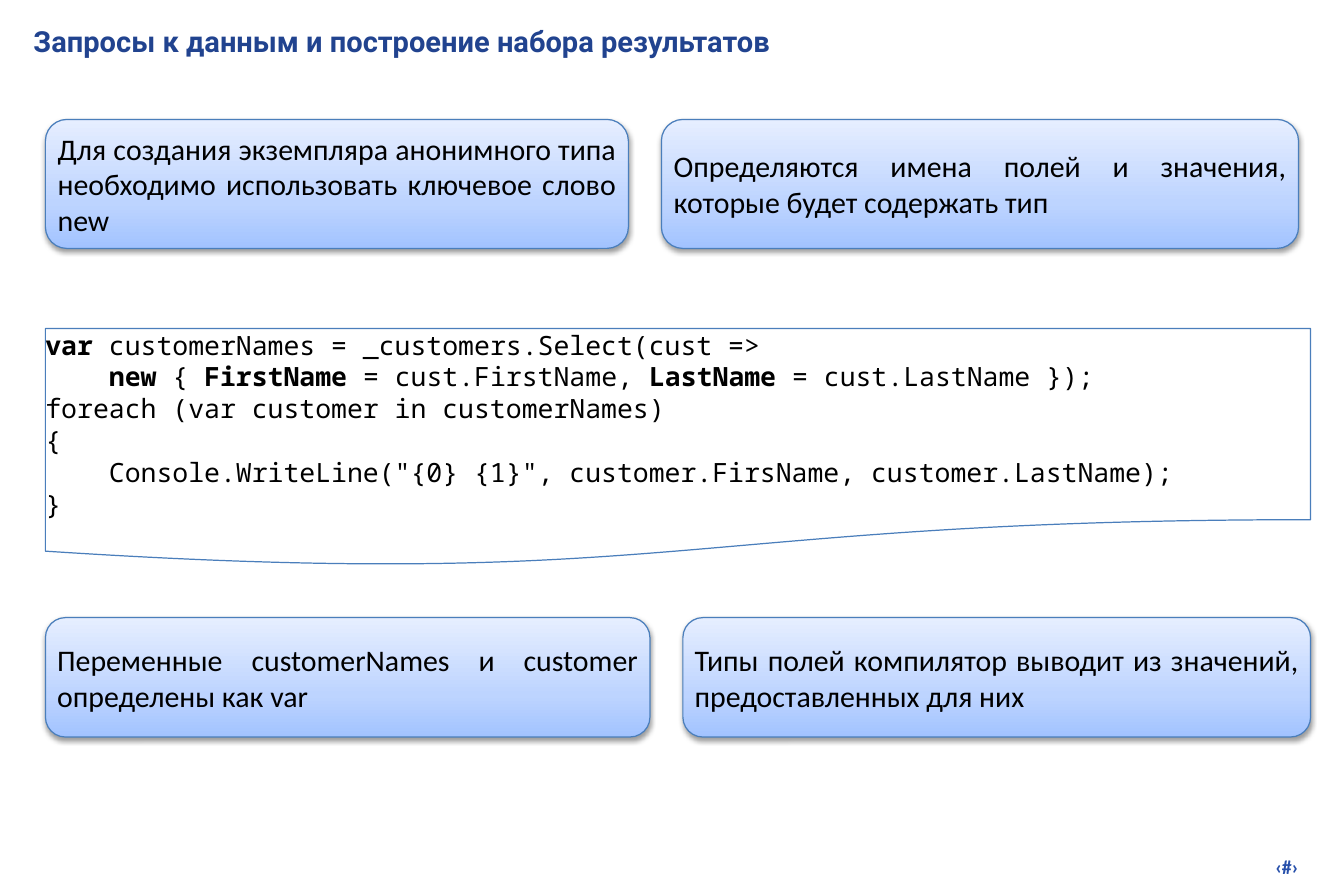
from copy import deepcopy
from lxml.etree import SubElement
from pptx import Presentation
from pptx.dml.color import RGBColor
from pptx.enum.shapes import MSO_SHAPE as Shape
from pptx.enum.text import MSO_ANCHOR as Anchor, PP_ALIGN as Align
from pptx.oxml.ns import qn
from pptx.util import Inches, Pt

TITLE = "Запросы к данным и построение набора результатов"
PAGE_MARK = "‹#›"
CODE = [
    [("var", True), (" customerNames = _customers.Select(cust =>", False)],
    [("    ", False), ("new", True), (" { ", False), ("FirstName", True),
     (" = cust.FirstName, ", False), ("LastName", True),
     (" = cust.LastName });", False)],
    [("foreach (var customer in customerNames)", False)],
    [("{", False)],
    [('    Console.WriteLine("{0} {1}", customer.FirsName, customer.LastName);', False)],
    [("}", False)],
]
LEFT, RIGHT, GAP = 3.38, 97.51, 2.45
CARD_ROWS = [
    {"top": 13.33, "height": 14.4, "split": 46.76, "right": 96.62, "texts": [
        "Для создания экземпляра анонимного типа необходимо использовать ключевое слово new",
        "Определяются имена полей и значения, которые будет содержать тип"]},
    {"top": 68.93, "height": 13.33, "split": 48.36, "right": RIGHT, "texts": [
        "Переменные customerNames и customer определены как var",
        "Типы полей компилятор выводит из значений, предоставленных для них"]},
]
CARD_STOPS = [(0, "A2C3FF"), (0.35, "BDD4FF"), (1, "E6EEFF")]
BORDER = "4A7EBB"

prs = Presentation()
prs.slide_width, prs.slide_height = Inches(11.25), Inches(7.5)
slide = prs.slides.add_slide(prs.slide_layouts[6])


def color(value):
    return RGBColor.from_string(value)


def place(left, top, width, height):
    w, h = prs.slide_width, prs.slide_height
    return [int(share * side / 100) for share, side in
            ((left, w), (top, h), (width, w), (height, h))]


def write(s, lines, font="Calibri", size=18, ink="000000", bold=False,
          align=Align.LEFT, anchor=Anchor.TOP, inset=0, spacing=None):
    tf = s.text_frame
    tf.word_wrap = True
    tf.vertical_anchor = anchor
    tf.margin_left = tf.margin_right = tf.margin_top = tf.margin_bottom = Inches(inset)
    if isinstance(lines, str):
        lines = [[(lines, bold)]]
    for i, runs in enumerate(lines):
        p = tf.add_paragraph() if i else tf.paragraphs[0]
        p.alignment = align
        p.line_spacing = spacing
        for text, strong in runs:
            r = p.add_run()
            r.text = text
            r.font.name, r.font.size, r.font.bold = font, Pt(size), strong
            r.font.color.rgb = color(ink)


def add_box(kind, *area):
    s = slide.shapes.add_shape(kind, *place(*area))
    s.shadow.inherit = False
    s.line.color.rgb = color(BORDER)
    s.line.width = Pt(0.75)
    return s


def add_card(text, *area):
    s = add_box(Shape.ROUNDED_RECTANGLE, *area)
    s.fill.gradient()
    s.fill.gradient_angle = 90
    stops = s._element.spPr.find(".//" + qn("a:gsLst"))
    stops.append(deepcopy(stops[0]))
    for stop, (position, value) in zip(s.fill.gradient_stops, CARD_STOPS):
        stop.position = position
        stop.color.rgb = color(value)
    effects = s._element.spPr.find(qn("a:effectLst"))
    shadow = SubElement(effects, qn("a:outerShdw"), blurRad=str(Pt(3)),
                        dist=str(Pt(1.6)), dir="5400000", rotWithShape="0")
    tone = SubElement(shadow, qn("a:srgbClr"), val="000000")
    SubElement(tone, qn("a:alpha"), val="38000")
    write(s, text, align=Align.JUSTIFY, anchor=Anchor.MIDDLE, inset=0.05)


s = slide.shapes.add_textbox(*place(2.49, 2.67, 95.47, 5.33))
write(s, TITLE, font="Roboto", size=17.5, ink="21438F", bold=True)

s = add_box(Shape.FLOWCHART_DOCUMENT, LEFT, 36.67, RIGHT - LEFT, 26.6)
s.fill.solid()
s.fill.fore_color.rgb = color("FFFFFF")
write(s, CODE, font="Noto Sans Mono", size=16, spacing=Pt(19.2))

for row in CARD_ROWS:
    second = row["split"] + GAP
    spans = [(LEFT, row["split"] - LEFT), (second, row["right"] - second)]
    for text, (left, width) in zip(row["texts"], spans):
        add_card(text, left, row["top"], width, row["height"])

s = slide.shapes.add_textbox(*place(75.91, 94.67, 21.16, 3.87))
write(s, PAGE_MARK, size=12, ink="2750AB", bold=True, align=Align.RIGHT, inset=0.05)

prs.save("out.pptx")
